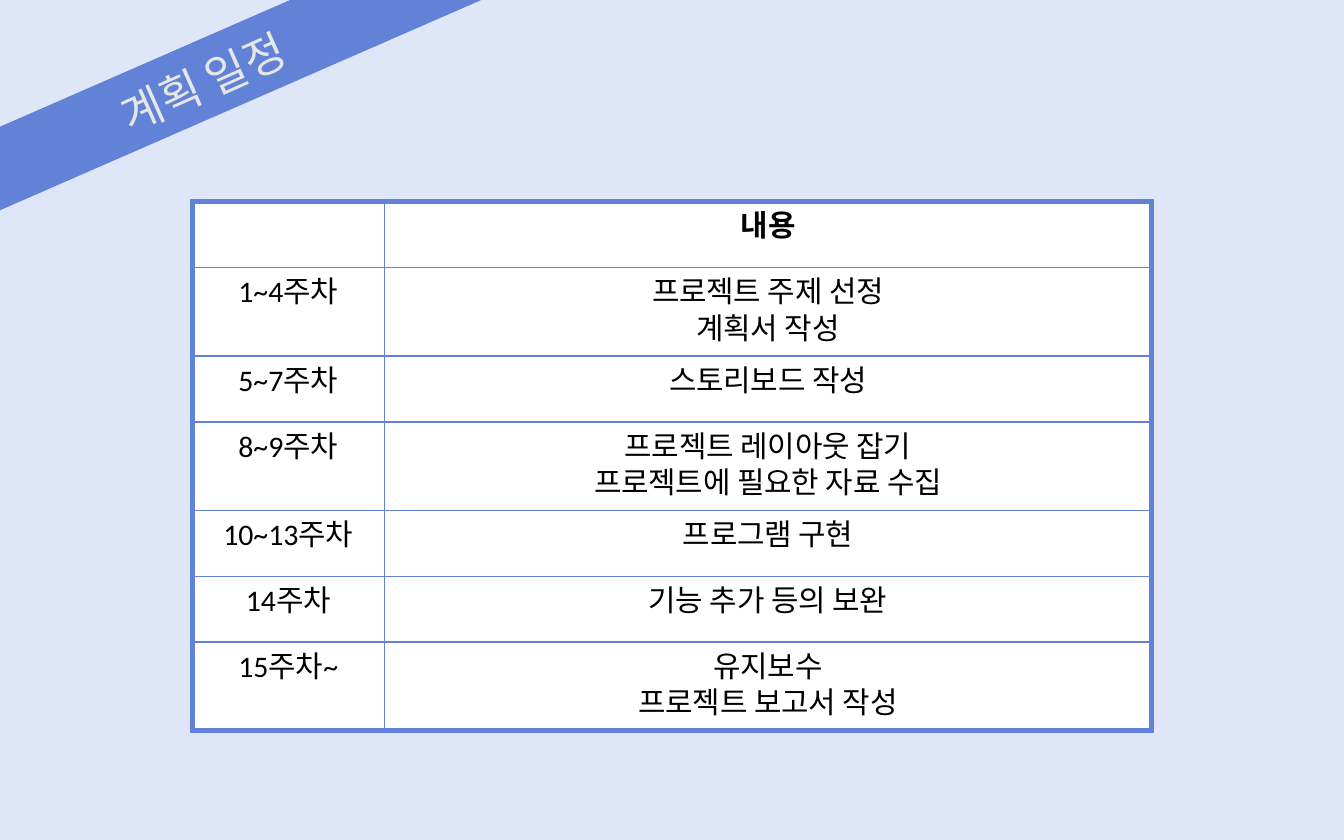
"""Build the project schedule slide with a ribbon title and a bordered table."""
from dataclasses import dataclass

from lxml.etree import SubElement
from pptx import Presentation
from pptx.dml.color import RGBColor
from pptx.enum.shapes import MSO_SHAPE
from pptx.enum.text import PP_ALIGN
from pptx.oxml.ns import qn
from pptx.util import Inches, Pt


@dataclass(frozen=True)
class Theme:
    backdrop: str = "DFE6F7"
    accent: str = "6182D6"
    title: str = "E7E6E6"
    ink: str = "000000"
    paper: str = "FFFFFF"
    title_font: str = "Noto Sans CJK KR"
    body_font: str = "Calibri"
    title_size: int = 24
    body_size: int = 16
    thin: int = 1
    thick: int = 3


def write(frame, text, *, size, color, font, bold=False):
    for index, line in enumerate(text.split("\n")):
        paragraph = frame.paragraphs[0] if index == 0 else frame.add_paragraph()
        paragraph.alignment = PP_ALIGN.CENTER
        if not line:
            paragraph.font.size = Pt(size)
            continue
        run = paragraph.add_run()
        run.text = line
        run.font.size = Pt(size)
        run.font.bold = bold
        run.font.name = font
        run.font.color.rgb = RGBColor.from_string(color)
        SubElement(run._r.get_or_add_rPr(), qn("a:ea"), typeface=font)


class SlideBuilder:
    def __init__(self, slide, theme):
        self.slide = slide
        self.theme = theme

    def box(self, left, top, width, height, color, rotation=0):
        panel = self.slide.shapes.add_shape(
            MSO_SHAPE.RECTANGLE, Inches(left), Inches(top), Inches(width), Inches(height))
        panel.shadow.inherit = False
        panel.fill.solid()
        panel.fill.fore_color.rgb = RGBColor.from_string(color)
        panel.line.fill.background()
        panel.rotation = rotation

    def title(self, text, left, top, width, height, rotation):
        heading = self.slide.shapes.add_textbox(
            Inches(left), Inches(top), Inches(width), Inches(height))
        heading.rotation = rotation
        heading.text_frame.word_wrap = True
        write(heading.text_frame, text, size=self.theme.title_size,
              color=self.theme.title, font=self.theme.title_font)

    def border(self, cell, side, width):
        edge = SubElement(cell._tc.get_or_add_tcPr(), qn(f"a:ln{side}"), w=str(Pt(width)))
        paint = SubElement(edge, qn("a:solidFill"))
        SubElement(paint, qn("a:srgbClr"), val=self.theme.accent)

    def table(self, rows, left, top, widths, heights):
        schedule = self.slide.shapes.add_table(
            len(rows), len(widths), Inches(left), Inches(top),
            Inches(sum(widths)), Inches(sum(heights))).table
        for column, width in zip(schedule.columns, widths):
            column.width = Inches(width)
        for r, (texts, height) in enumerate(zip(rows, heights)):
            schedule.rows[r].height = Inches(height)
            for c, text in enumerate(texts):
                cell = schedule.cell(r, c)
                write(cell.text_frame, text, size=self.theme.body_size,
                      color=self.theme.ink, font=self.theme.body_font, bold=r == 0)
                outer = {"L": c == 0, "R": c == len(widths) - 1,
                         "T": r == 0, "B": r == len(rows) - 1}
                for side, is_outer in outer.items():
                    self.border(cell, side, self.theme.thick if is_outer else self.theme.thin)
                cell.fill.solid()
                cell.fill.fore_color.rgb = RGBColor.from_string(self.theme.paper)


def main():
    deck = Presentation()
    deck.slide_width, deck.slide_height = Inches(10), Inches(6.25)
    theme = Theme()
    builder = SlideBuilder(deck.slides.add_slide(deck.slide_layouts[6]), theme)

    builder.box(0, 0, 10, 6.25, theme.backdrop)
    builder.box(-0.62, 0.29, 4.35, 0.57, theme.accent, rotation=336.4)
    builder.title("계획 일정", -0.5, 0.36, 4.02, 0.49, rotation=336.1)

    plan = [
        ("", "내용"),
        ("1~4주차", "프로젝트 주제 선정\n계획서 작성"),
        ("5~7주차", "스토리보드 작성"),
        ("8~9주차", "프로젝트 레이아웃 잡기\n프로젝트에 필요한 자료 수집"),
        ("10~13주차", "프로그램 구현"),
        ("14주차", "기능 추가 등의 보완"),
        ("15주차~", "유지보수\n프로젝트 보고서 작성"),
    ]
    heights = [0.66 if "\n" in content else 0.49 for _, content in plan]
    builder.table(plan, 1.43, 1.5, [1.43, 5.71], heights)

    deck.save("out.pptx")


if __name__ == "__main__":
    main()
